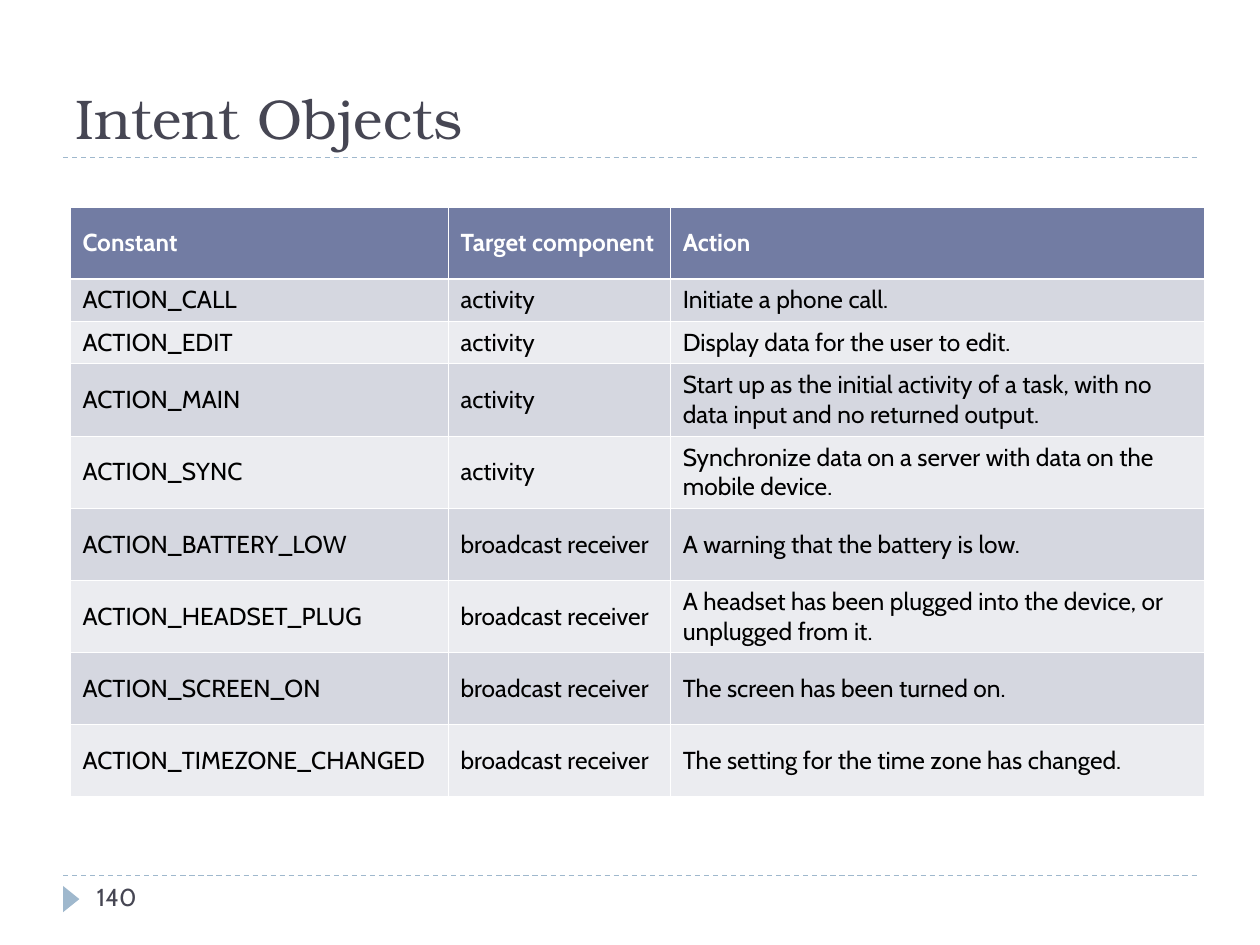
from dataclasses import dataclass

from lxml import etree
from pptx import Presentation
from pptx.dml.color import RGBColor
from pptx.enum.dml import MSO_LINE
from pptx.enum.shapes import MSO_CONNECTOR, MSO_SHAPE
from pptx.enum.text import MSO_ANCHOR, MSO_AUTO_SIZE, PP_ALIGN
from pptx.oxml.ns import qn
from pptx.util import Cm, Pt

STRAIGHT = MSO_CONNECTOR.STRAIGHT
TRIANGLE = MSO_SHAPE.ISOSCELES_TRIANGLE
DASH = MSO_LINE.DASH
MIDDLE = MSO_ANCHOR.MIDDLE
BOTTOM = MSO_ANCHOR.BOTTOM
NO_AUTOFIT = MSO_AUTO_SIZE.NONE
LEFT = PP_ALIGN.LEFT

WHITE = RGBColor(0xFF, 0xFF, 0xFF)
BLACK = RGBColor(0x00, 0x00, 0x00)
SLATE = RGBColor(0x46, 0x46, 0x53)
PALE_BLUE = RGBColor(0x9F, 0xB8, 0xCD)
HEADER_FILL = RGBColor(0x72, 0x7C, 0xA3)
BAND_FILLS = (RGBColor(0xD5, 0xD7, 0xE0), RGBColor(0xEB, 0xEC, 0xF0))

TITLE_FONT = "TeX Gyre Bonum"
BODY_FONT = "Cabin"
COLUMN_WIDTHS = (7.62, 4.48, 10.76)
TALL_ROW = 1.45
SHORT_ROW = 0.84
THIN_BORDER = Pt(0.45)
HEADER_BORDER = Pt(1.47)


@dataclass(frozen=True)
class IntentAction:
    constant: str
    target: str
    action: str
    height: float = TALL_ROW


HEADER = IntentAction("Constant", "Target component", "Action")
ACTIONS = (
    IntentAction("ACTION_CALL", "activity", "Initiate a phone call.", SHORT_ROW),
    IntentAction("ACTION_EDIT", "activity", "Display data for the user to edit.", SHORT_ROW),
    IntentAction("ACTION_MAIN", "activity",
                 "Start up as the initial activity of a task, with no data input and no returned output."),
    IntentAction("ACTION_SYNC", "activity",
                 "Synchronize data on a server with data on the mobile device."),
    IntentAction("ACTION_BATTERY_LOW", "broadcast receiver", "A warning that the battery is low."),
    IntentAction("ACTION_HEADSET_PLUG", "broadcast receiver",
                 "A headset has been plugged into the device, or unplugged from it."),
    IntentAction("ACTION_SCREEN_ON", "broadcast receiver", "The screen has been turned on."),
    IntentAction("ACTION_TIMEZONE_CHANGED", "broadcast receiver",
                 "The setting for the time zone has changed."),
)


def format_text(text_frame, font_name: str, size: int, color: RGBColor, bold: bool = False) -> None:
    for paragraph in text_frame.paragraphs:
        paragraph.alignment = LEFT
        for run in paragraph.runs:
            run.font.name = font_name
            run.font.size = Pt(size)
            run.font.bold = bold
            run.font.color.rgb = color


def add_rule(slide, top: float) -> None:
    rule = slide.shapes.add_connector(STRAIGHT, Cm(1.27), Cm(top), Cm(24.13), Cm(top))
    rule.line.color.rgb = PALE_BLUE
    rule.line.width = Pt(0.75)
    rule.line.dash_style = DASH
    etree.SubElement(rule._element.spPr, qn("a:effectLst"))


def add_title(slide, text: str) -> None:
    title = slide.shapes.title
    title.left, title.top, title.width, title.height = Cm(1.27), Cm(0.43), Cm(22.86), Cm(2.74)
    text_frame = title.text_frame
    text_frame.text = text
    text_frame.auto_size = NO_AUTOFIT
    text_frame.vertical_anchor = BOTTOM
    format_text(text_frame, TITLE_FONT, 32, SLATE)


def set_borders(cell, top: int, bottom: int) -> None:
    properties = cell._tc.get_or_add_tcPr()
    widths = {"a:lnL": THIN_BORDER, "a:lnR": THIN_BORDER, "a:lnT": top, "a:lnB": bottom}
    for tag, width in widths.items():
        border = etree.SubElement(properties, qn(tag), w=str(int(width)))
        fill = etree.SubElement(border, qn("a:solidFill"))
        etree.SubElement(fill, qn("a:srgbClr"), val=str(WHITE))


def add_action_table(slide) -> None:
    records = (HEADER, *ACTIONS)
    total_height = sum(record.height for record in records)
    table = slide.shapes.add_table(
        len(records), len(COLUMN_WIDTHS), Cm(1.41), Cm(4.17),
        Cm(sum(COLUMN_WIDTHS)), Cm(total_height)).table
    for column, width in zip(table.columns, COLUMN_WIDTHS):
        column.width = Cm(width)
    for index, (row, record) in enumerate(zip(table.rows, records)):
        row.height = Cm(record.height)
        is_header = index == 0
        for cell, text in zip(row.cells, (record.constant, record.target, record.action)):
            cell.text_frame.text = text
            cell.vertical_anchor = MIDDLE
            format_text(cell.text_frame, BODY_FONT, 14, WHITE if is_header else BLACK, is_header)
            set_borders(cell,
                        HEADER_BORDER if index == 1 else THIN_BORDER,
                        HEADER_BORDER if is_header else THIN_BORDER)
            cell.fill.solid()
            cell.fill.fore_color.rgb = HEADER_FILL if is_header else BAND_FILLS[(index - 1) % 2]


def add_page_number(slide, number: str) -> None:
    marker = slide.shapes.add_shape(TRIANGLE, Cm(1.17), Cm(17.96), Cm(0.53), Cm(0.33))
    marker.rotation = 90
    marker.shadow.inherit = False
    marker.fill.solid()
    marker.fill.fore_color.rgb = PALE_BLUE
    marker.line.fill.background()
    text_frame = slide.shapes.add_textbox(Cm(1.7), Cm(17.65), Cm(5.51), Cm(1.02)).text_frame
    text_frame.word_wrap = True
    text_frame.text = number
    format_text(text_frame, BODY_FONT, 14, SLATE)


def main() -> None:
    presentation = Presentation()
    presentation.slide_width = Cm(25.4)
    presentation.slide_height = Cm(19.05)
    slide = presentation.slides.add_slide(presentation.slide_layouts.get_by_name("Title Only"))
    for top in (17.65, 3.17):
        add_rule(slide, top)
    add_title(slide, "Intent Objects")
    add_action_table(slide)
    add_page_number(slide, "140")
    presentation.save("out.pptx")


if __name__ == "__main__":
    main()
